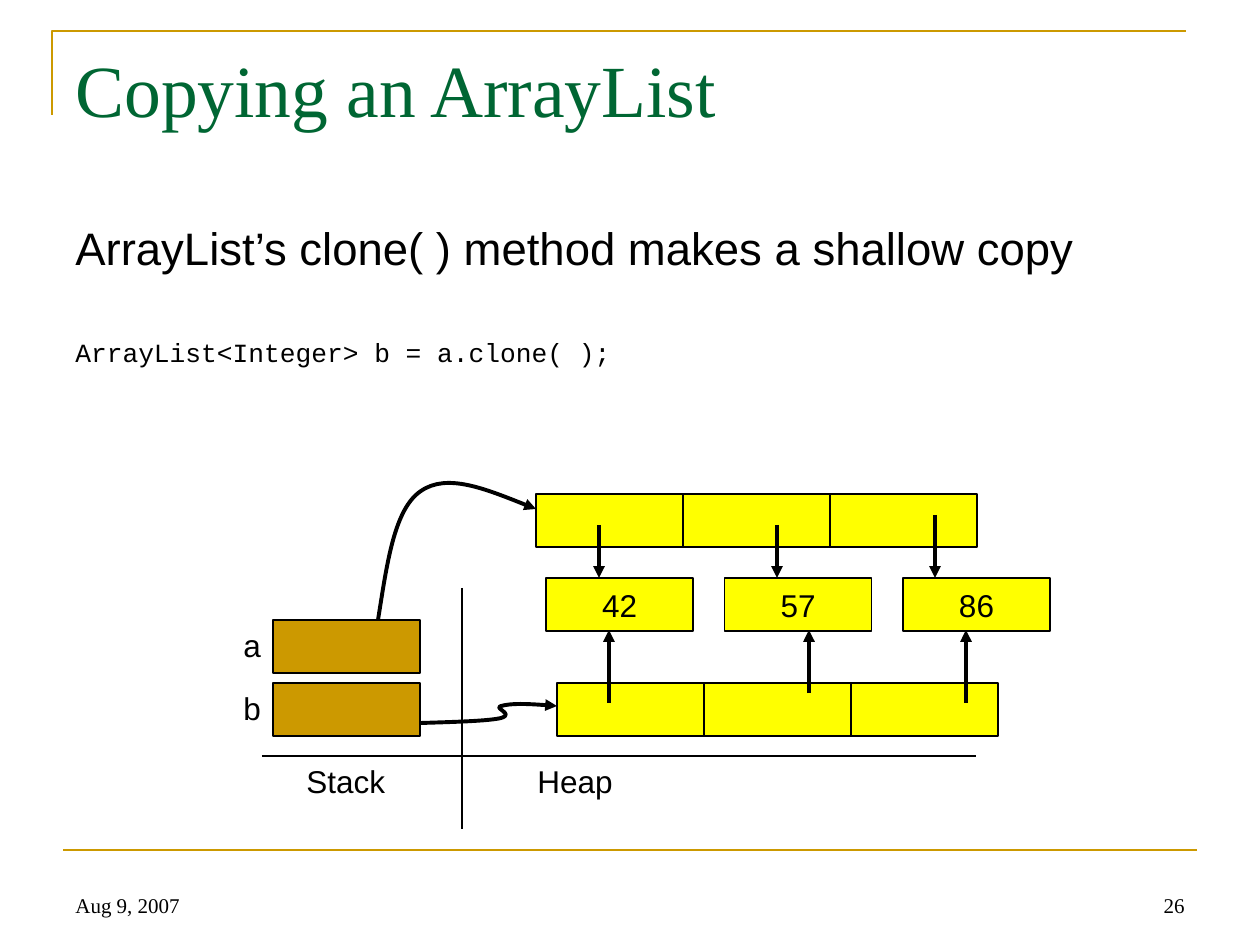
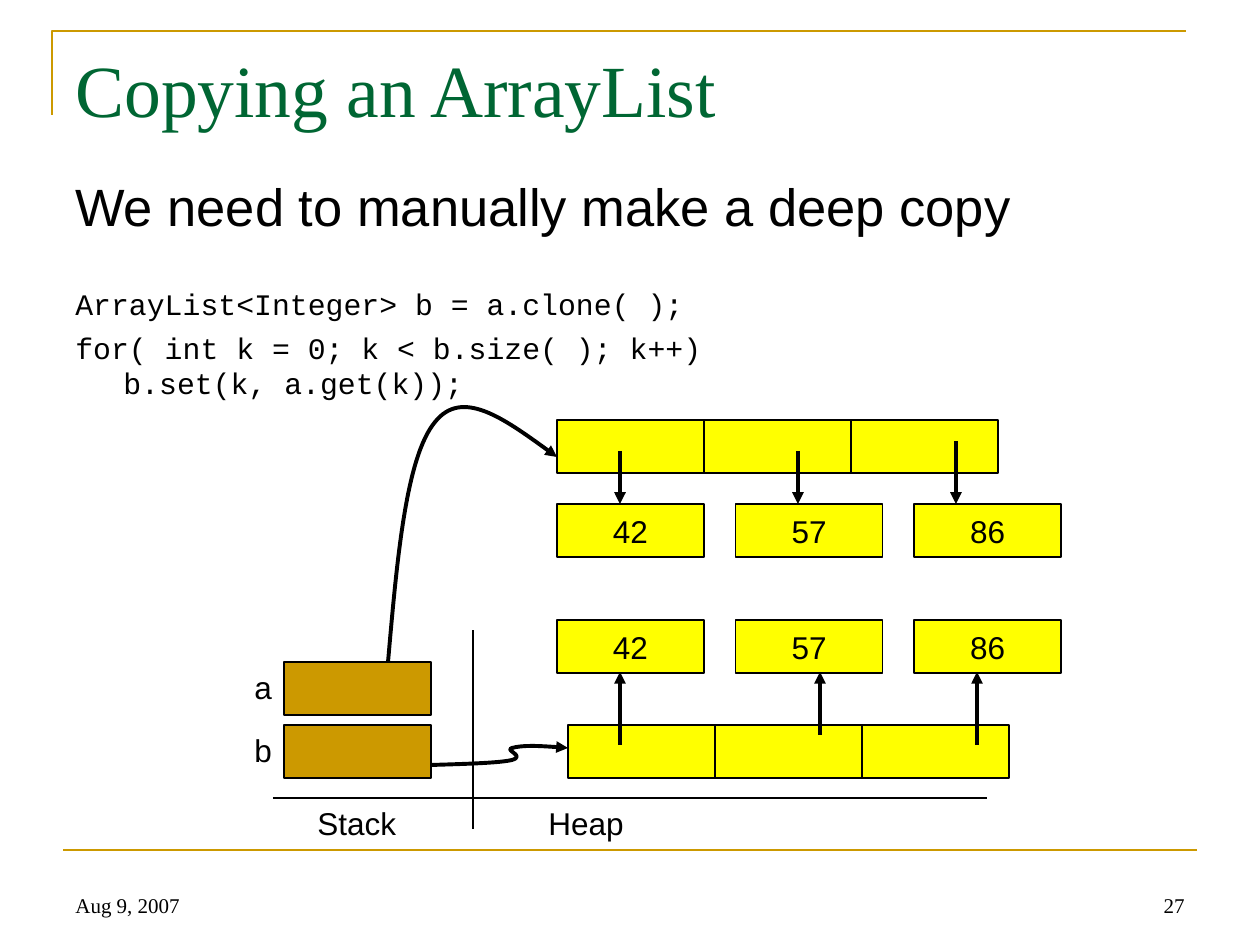
"""Build two slides on shallow and deep copies of an ArrayList."""
import pptx
import pptx.dml.color
import pptx.enum.shapes
import pptx.enum.text
import pptx.oxml.ns
import pptx.util
from lxml import etree

PX = 914400 / 126
COLORS = {"gold": "CC9900", "green": "006633", "yellow": "FFFF00", "black": "000000"}
SERIF, SANS, MONO = "Times New Roman", "Arial", "Courier New"
ALIGN = pptx.enum.text.PP_ALIGN
ANCHOR = pptx.enum.text.MSO_ANCHOR

TITLE = "Copying an ArrayList"
DATE = "Aug 9, 2007"
VALUES = ["42", "57", "86"]
CELL_W, CELL_H = 147, 53
VALUE_SPAN = 357
HANGING = 48
AXIS_BOTTOM = 829

STACK = [("a", 620), ("b", 683)]
AREAS = [("Stack", 294, 147), ("Heap", 525, 116)]
ARRAY_B = (557, 683)
VALUES_B = (546, 578)
LINKS_A = [(63, 31, 84), (241, 31, 84), (399, 21, 84)]
LINKS_B = [(52, 20, -53), (252, 10, -53), (409, 20, -53)]
CURVE_B = [(420, 723), (454, 722), (489, 721), (501, 718), (515, 714),
           (493, 708), (501, 706), (512, 703), (534, 704), (557, 706)]

SLIDES = [
    {"number": "26", "body_top": 220, "body_height": 305, "line_spacing": 0.9,
     "body": [("ArrayList’s clone( ) method makes a shallow copy", SANS, 26, 0),
              ("ArrayList<Integer> b = a.clone( );", MONO, 15, 37)],
     "shift": (0, 0), "array_a": (536, 494), "values_a": None,
     "curve_a": [(378, 620), (387, 564), (394, 509), (421, 491),
                 (447, 473), (491, 491), (536, 509)]},
    {"number": "27", "body_top": 168, "body_height": 284, "line_spacing": 1.0,
     "body": [("We need to manually make a deep copy", SANS, 30, 0),
              ("ArrayList<Integer> b = a.clone( );", MONO, 17, 28),
              ("for( int k = 0; k < b.size( ); k++)\nb.set(k, a.get(k));", MONO, 17, 4.2)],
     "shift": (11, 42), "array_a": (557, 420), "values_a": (557, 504),
     "curve_a": [(388, 662), (397, 559), (406, 457), (435, 422),
                 (462, 388), (509, 422), (557, 457)]},
]


def emu(*lengths):
    return [round(length * PX) for length in lengths]


def color(name):
    return pptx.dml.color.RGBColor.from_string(COLORS[name])


def style_line(shape, name, width, arrow=False):
    shape.line.color.rgb = color(name)
    shape.line.width = pptx.util.Pt(width)
    if arrow:
        etree.SubElement(shape.line._get_or_add_ln(), pptx.oxml.ns.qn("a:tailEnd"), type="triangle")


def add_run(paragraph, text, font, size, name="black"):
    for index, part in enumerate(text.split("\n")):
        if index:
            paragraph.add_line_break()
        run = paragraph.add_run()
        run.text = part
        run.font.name = font
        run.font.size = pptx.util.Pt(size)
        run.font.color.rgb = color(name)


def add_text(slide, box, text, font, size, name="black", align=ALIGN.LEFT, anchor=ANCHOR.TOP):
    frame = slide.shapes.add_textbox(*emu(*box)).text_frame
    frame.word_wrap = True
    frame.vertical_anchor = anchor
    frame.paragraphs[0].alignment = align
    add_run(frame.paragraphs[0], text, font, size, name)


def add_body(slide, content):
    box = (63, content["body_top"], 1134, content["body_height"])
    frame = slide.shapes.add_textbox(*emu(*box)).text_frame
    frame.word_wrap = True
    for index, (text, font, size, before) in enumerate(content["body"]):
        paragraph = frame.add_paragraph() if index else frame.paragraphs[0]
        indent = emu(HANGING)[0]
        properties = paragraph._p.get_or_add_pPr()
        properties.set("marL", str(indent))
        properties.set("indent", str(-indent))
        paragraph.line_spacing = content["line_spacing"]
        if before:
            paragraph.space_before = pptx.util.Pt(before)
        add_run(paragraph, text, font, size)


def add_line(slide, start, end, name="black", width=0.75, arrow=False):
    line = slide.shapes.add_connector(
        pptx.enum.shapes.MSO_CONNECTOR.STRAIGHT, *emu(*start, *end))
    style_line(line, name, width, arrow)
    etree.SubElement(line._element.spPr, pptx.oxml.ns.qn("a:effectLst"))


def add_outline(slide, points, name, width, arrow=False):
    builder = slide.shapes.build_freeform(*points[0], scale=PX)
    builder.add_line_segments(points[1:], close=False)
    outline = builder.convert_to_shape()
    outline.shadow.inherit = False
    outline.fill.background()
    style_line(outline, name, width, arrow)
    return outline


def add_curved_arrow(slide, points):
    arrow = add_outline(slide, points, "black", 2.25, arrow=True)
    qn = pptx.oxml.ns.qn
    segments = list(arrow._element.iter(qn("a:lnTo")))
    outline = segments[0].getparent()
    for first in range(0, len(segments), 3):
        bezier = etree.SubElement(outline, qn("a:cubicBezTo"))
        for segment in segments[first:first + 3]:
            bezier.append(segment[0])
            outline.remove(segment)


def add_cell(slide, left, top, fill, text=""):
    cell = slide.shapes.add_shape(
        pptx.enum.shapes.MSO_SHAPE.RECTANGLE, *emu(left, top, CELL_W, CELL_H))
    cell.shadow.inherit = False
    cell.fill.solid()
    cell.fill.fore_color.rgb = color(fill)
    style_line(cell, "black", 0.75)
    if text:
        frame = cell.text_frame
        frame.word_wrap = False
        frame.vertical_anchor = ANCHOR.MIDDLE
        frame.paragraphs[0].alignment = ALIGN.CENTER
        add_run(frame.paragraphs[0], text, SANS, 18)


def add_array(slide, origin, links):
    left, top = origin
    for index in range(len(VALUES)):
        add_cell(slide, left + index * CELL_W, top, "yellow")
    for x, start, end in links:
        add_line(slide, (left + x, top + start), (left + x, top + end), width=2.25, arrow=True)


def add_values(slide, origin):
    left, top = origin
    pitch = VALUE_SPAN / (len(VALUES) - 1)
    for index, value in enumerate(VALUES):
        add_cell(slide, left + index * pitch, top, "yellow", value)


def add_frame(slide, number):
    add_outline(slide, [(52, 115), (52, 31), (1186, 31)], "gold", 1.5)
    add_line(slide, (63, 850), (1197, 850), "gold", 1.5)
    add_text(slide, (63, 861, 294, 63), DATE, SERIF, 12, anchor=ANCHOR.BOTTOM)
    add_text(slide, (903, 861, 294, 63), number, SERIF, 12, align=ALIGN.RIGHT, anchor=ANCHOR.BOTTOM)
    add_text(slide, (63, 38, 1134, 157), TITLE, SERIF, 42, "green")


def add_memory(slide, content):
    dx, dy = content["shift"]

    def shifted(point):
        return point[0] + dx, point[1] + dy

    for name, top in STACK:
        add_cell(slide, *shifted((273, top)), "gold")
        add_text(slide, (*shifted((231, top)), 42, 50), name, SANS, 18)
    add_line(slide, shifted((462, 588)), (462 + dx, AXIS_BOTTOM))
    add_line(slide, shifted((262, 756)), shifted((976, 756)))
    for name, left, width in AREAS:
        add_text(slide, (*shifted((left, 756)), width, 50), name, SANS, 18)
    add_values(slide, shifted(VALUES_B))
    if content["values_a"]:
        add_values(slide, content["values_a"])
    add_array(slide, content["array_a"], LINKS_A)
    add_array(slide, shifted(ARRAY_B), LINKS_B)
    add_curved_arrow(slide, content["curve_a"])
    add_curved_arrow(slide, [shifted(point) for point in CURVE_B])


def main():
    deck = pptx.Presentation()
    deck.slide_width, deck.slide_height = emu(1260, 945)
    for content in SLIDES:
        slide = deck.slides.add_slide(deck.slide_layouts[6])
        add_frame(slide, content["number"])
        add_body(slide, content)
        add_memory(slide, content)
    deck.save("out.pptx")


if __name__ == "__main__":
    main()
